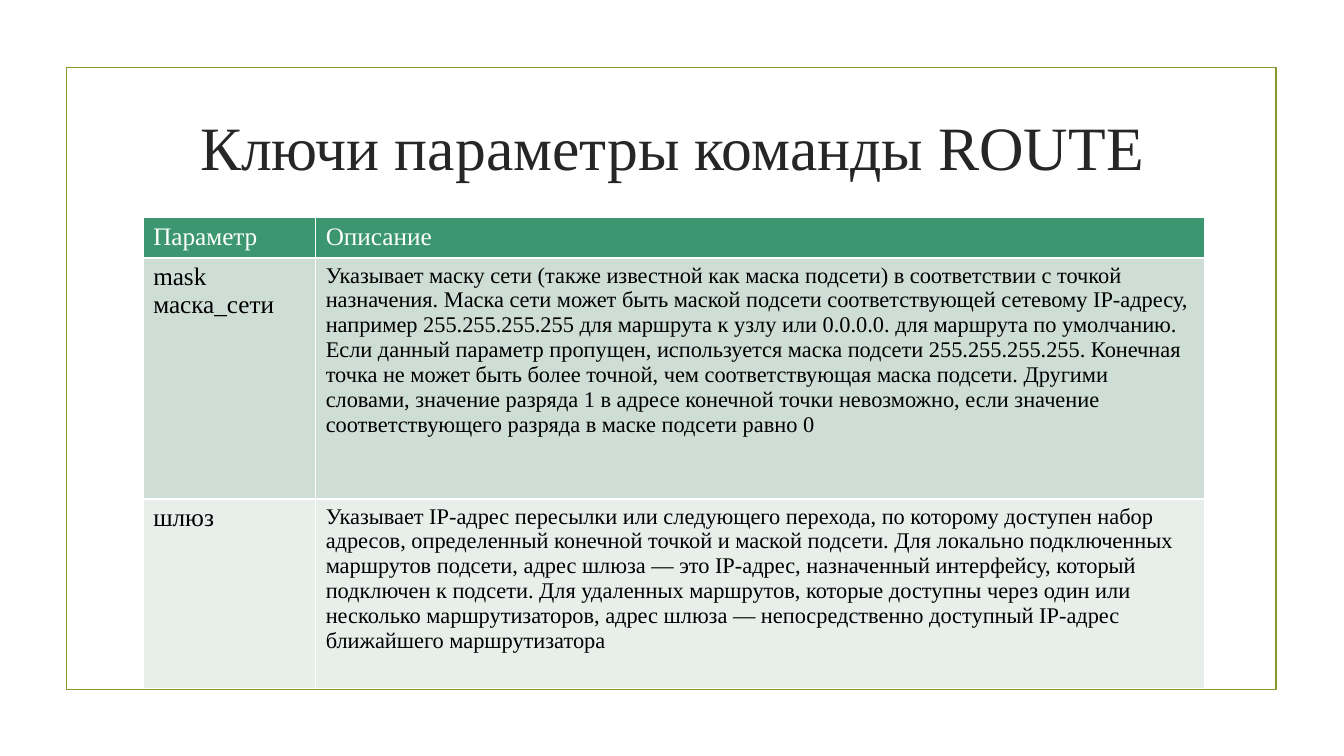
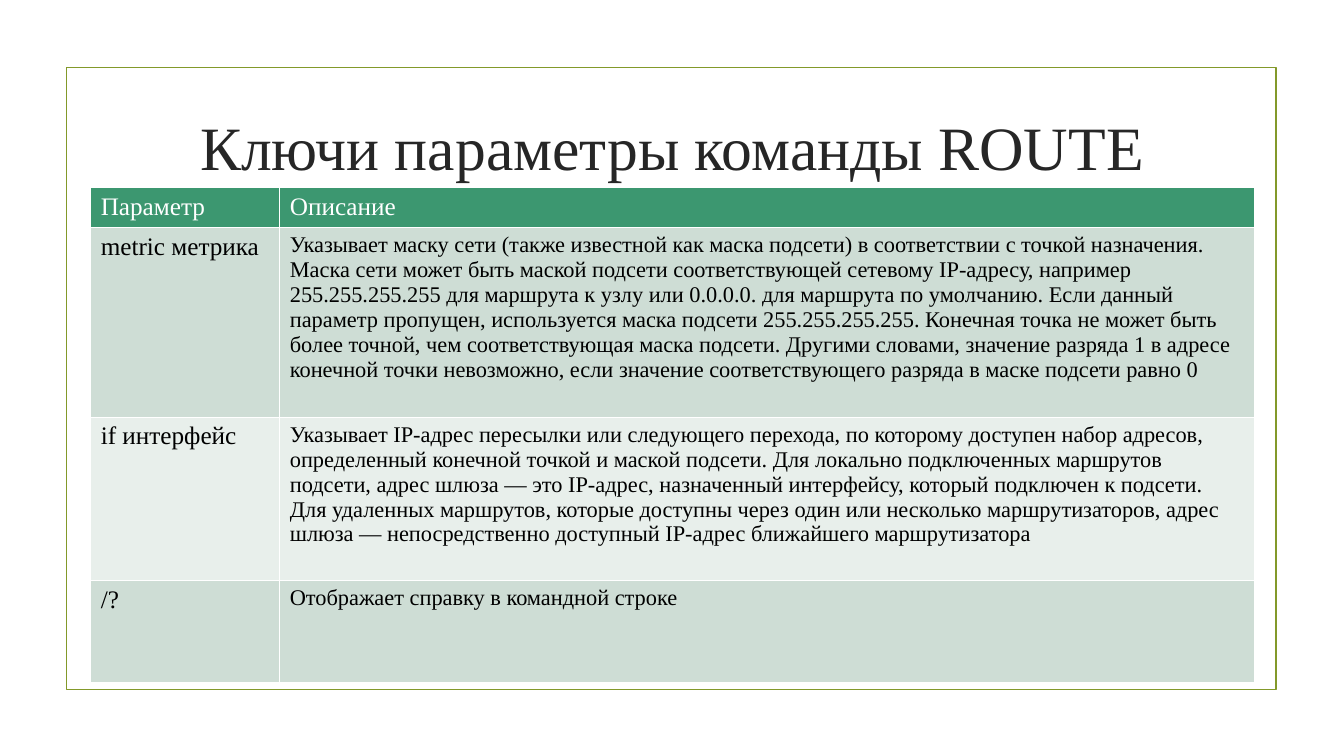
from lxml import etree
from pptx import Presentation
from pptx.dml.color import RGBColor
from pptx.enum.shapes import MSO_SHAPE
from pptx.enum.text import MSO_ANCHOR, PP_ALIGN
from pptx.oxml.ns import qn
from pptx.util import Inches, Pt

RECTANGLE = MSO_SHAPE.RECTANGLE
MIDDLE = MSO_ANCHOR.MIDDLE
CENTER = PP_ALIGN.CENTER

# Shared style
FONT = "Times New Roman"
WHITE, BLACK, TITLE_INK = "FFFFFF", "000000", "262626"
FRAME_GREEN, HEADER_GREEN = "83992A", "3C9770"
BANDS = ("CEDDD5", "E8EFEB")
TITLE_SIZE, NAME_SIZE, DETAIL_SIZE = 44, 18, 16
NAME_SHARE = 0.1625  # first column's share of the table width

# Shared wording
TITLE = "Ключи параметры команды ROUTE"
HEADER = ("Параметр", "Описание")
MASK_TEXT = (
    "Указывает маску сети (также известной как маска подсети) в соответствии "
    "с точкой назначения. Маска сети может быть маской подсети соответствующей "
    "сетевому IP-адресу, например 255.255.255.255 для маршрута к узлу или "
    "0.0.0.0. для маршрута по умолчанию. Если данный параметр пропущен, "
    "используется маска подсети 255.255.255.255. Конечная точка не может быть "
    "более точной, чем соответствующая маска подсети. Другими словами, значение "
    "разряда 1 в адресе конечной точки невозможно, если значение "
    "соответствующего разряда в маске подсети равно 0"
)
GATEWAY_TEXT = (
    "Указывает IP-адрес пересылки или следующего перехода, по которому доступен "
    "набор адресов, определенный конечной точкой и маской подсети. Для локально "
    "подключенных маршрутов подсети, адрес шлюза — это IP-адрес, назначенный "
    "интерфейсу, который подключен к подсети. Для удаленных маршрутов, которые "
    "доступны через один или несколько маршрутизаторов, адрес шлюза — "
    "непосредственно доступный IP-адрес ближайшего маршрутизатора"
)
HELP_TEXT = "Отображает справку в командной строке"

# One entry per slide: left, top, width, row heights, body rows
TABLES = (
    (1.42, 2.16, 10.53, (0.37, 2.39, 1.88),
     (("mask маска_сети", MASK_TEXT), ("шлюз", GATEWAY_TEXT))),
    (0.9, 1.86, 11.54, (0.38, 1.88, 1.62, 1.01),
     (("metric метрика", MASK_TEXT), ("if интерфейс", GATEWAY_TEXT),
      ("/?", HELP_TEXT))),
)


def color(value):
    return RGBColor.from_string(value)


def add_text(para, text, size, ink):
    span = para.add_run()
    span.text = text
    span.font.name = FONT
    span.font.size = Pt(size)
    span.font.color.rgb = color(ink)


def add_frame(page):
    frame = page.shapes.add_shape(
        RECTANGLE, Inches(0.66), Inches(0.67), Inches(12), Inches(6.17))
    frame.shadow.inherit = False
    frame.fill.background()
    frame.line.color.rgb = color(FRAME_GREEN)
    frame.line.width = Pt(1.25)


def add_title(page, text):
    box = page.shapes.add_textbox(
        Inches(1.42), Inches(0.73), Inches(10.5), Inches(1.43))
    box.text_frame.word_wrap = True
    box.text_frame.vertical_anchor = MIDDLE
    para = box.text_frame.paragraphs[0]
    para.alignment = CENTER
    add_text(para, text, TITLE_SIZE, TITLE_INK)


def add_borders(cell, ink, points):
    """Border lines have to stand before the fill in the cell properties."""
    properties = cell._tc.get_or_add_tcPr()
    for position, side in enumerate(("lnL", "lnR", "lnT", "lnB")):
        line = etree.Element(qn(f"a:{side}"), w=str(Pt(points)))
        fill = etree.SubElement(line, qn("a:solidFill"))
        etree.SubElement(fill, qn("a:srgbClr"), val=ink)
        properties.insert(position, line)


def fill_cell(cell, text, size, ink, background):
    cell.fill.solid()
    cell.fill.fore_color.rgb = color(background)
    add_borders(cell, WHITE, 1)
    add_text(cell.text_frame.paragraphs[0], text, size, ink)


def add_parameter_table(page, left, top, width, heights, body):
    table = page.shapes.add_table(
        len(heights), len(HEADER), Inches(left), Inches(top),
        Inches(width), Inches(sum(heights))).table
    for column, share in zip(table.columns, (NAME_SHARE, 1 - NAME_SHARE)):
        column.width = Inches(width * share)
    for row, height in zip(table.rows, heights):
        row.height = Inches(height)

    # Header row
    for column, label in enumerate(HEADER):
        fill_cell(table.cell(0, column), label, NAME_SIZE, WHITE, HEADER_GREEN)

    # Banded body rows
    for index, texts in enumerate(body):
        band = BANDS[index % len(BANDS)]
        for column, (text, size) in enumerate(
                zip(texts, (NAME_SIZE, DETAIL_SIZE))):
            fill_cell(table.cell(index + 1, column), text, size, BLACK, band)


def main():
    deck = Presentation()
    deck.slide_width, deck.slide_height = Inches(13.33), Inches(7.5)
    blank = deck.slide_layouts[6]
    for layout in TABLES:
        page = deck.slides.add_slide(blank)
        add_frame(page)
        add_title(page, TITLE)
        add_parameter_table(page, *layout)
    deck.save("out.pptx")


if __name__ == "__main__":
    main()
